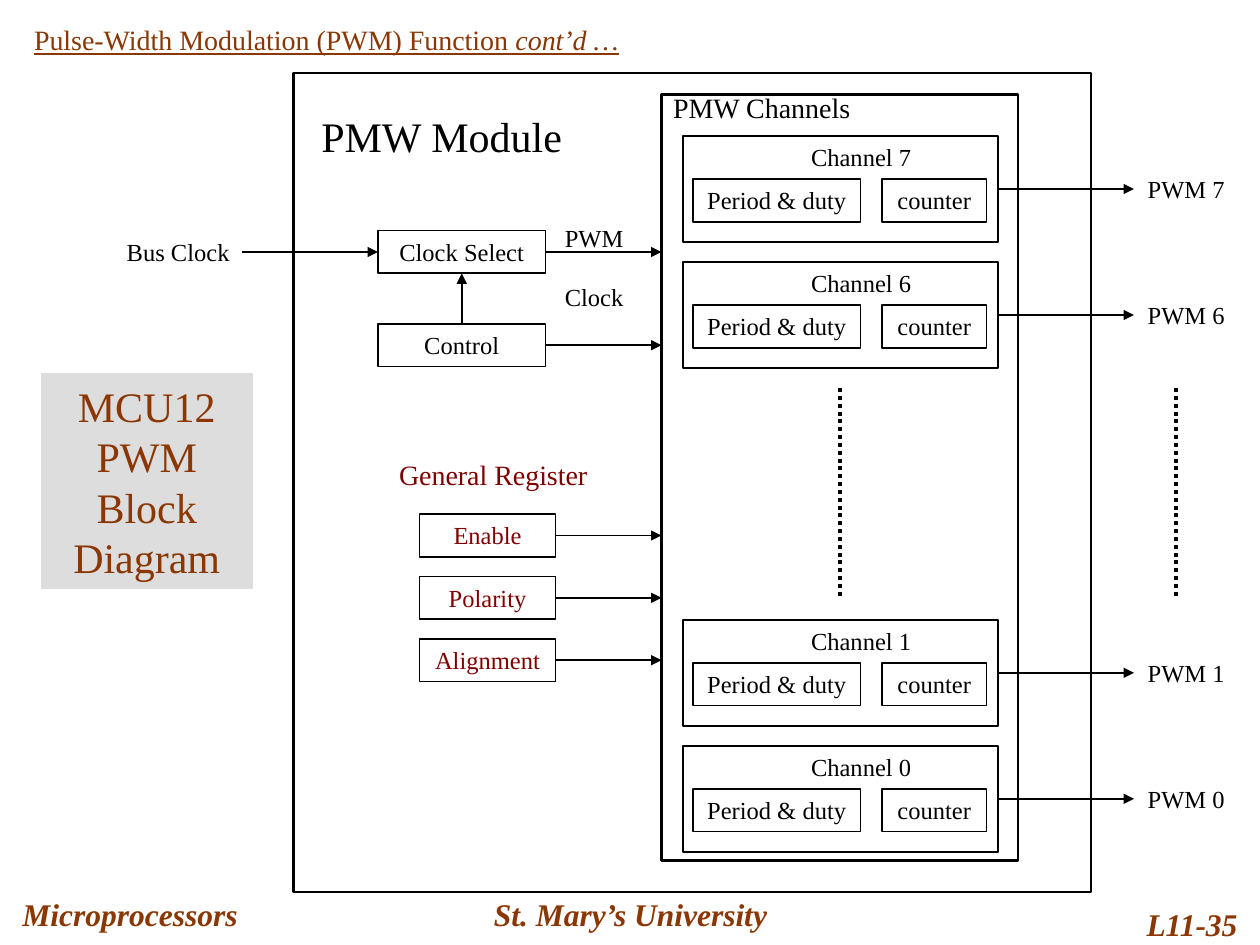
from lxml.etree import SubElement
from pptx import Presentation
from pptx.dml.color import RGBColor
from pptx.enum.dml import MSO_LINE
from pptx.enum.shapes import MSO_CONNECTOR, MSO_SHAPE
from pptx.enum.text import MSO_ANCHOR, MSO_AUTO_SIZE, PP_ALIGN
from pptx.oxml.ns import qn
from pptx.util import Inches, Pt

BLACK = RGBColor(0x00, 0x00, 0x00)
BROWN = RGBColor(0x8A, 0x37, 0x04)
MAROON = RGBColor(0x80, 0x00, 0x00)
GRAY = RGBColor(0xDD, 0xDD, 0xDD)
FACE = "Times New Roman"
RIGHT, LEFT, TOP, BOTTOM = 3, 1, 0, 2


def style(target, **values):
    for key, value in values.items():
        setattr(target, key, value)


def write(shape, lines, size=14, color=BLACK, align=PP_ALIGN.CENTER,
          anchor=MSO_ANCHOR.TOP, gap=0, **font):
    """Fill a shape with paragraphs, each a list of (text, italic) runs or a string."""
    frame = shape.text_frame
    style(frame, word_wrap=True, auto_size=MSO_AUTO_SIZE.NONE,
          vertical_anchor=anchor,
          margin_left=Inches(0.1), margin_right=Inches(0.1),
          margin_top=Inches(0.05), margin_bottom=Inches(0.05))
    for i, line in enumerate(lines):
        para = frame.add_paragraph() if i else frame.paragraphs[0]
        style(para, alignment=align, space_before=Pt(gap if i else 0))
        for text, slant in [(line, None)] if isinstance(line, str) else line:
            run = para.add_run()
            run.text = text
            values = {"name": FACE, "size": Pt(size), "bold": False,
                      "italic": slant, **font}
            style(run.font, **values)
            run.font.color.rgb = color


def label(slide, box, *lines, **look):
    shape = slide.shapes.add_textbox(*map(Inches, box))
    write(shape, lines, **look)
    return shape


def block(slide, box, *lines, line=BLACK, width=1, fill=None, **look):
    shape = slide.shapes.add_shape(MSO_SHAPE.RECTANGLE, *map(Inches, box))
    shape.shadow.inherit = False
    if fill is None:
        shape.fill.background()
    else:
        shape.fill.solid()
        shape.fill.fore_color.rgb = fill
    shape.line.color.rgb = line
    shape.line.width = Pt(width)
    if lines:
        write(shape, lines, **look)
    return shape


def wire(slide, start, end, width=1, dash=None, head=True):
    link = slide.shapes.add_connector(
        MSO_CONNECTOR.STRAIGHT, *map(Inches, start + end))
    link.line.color.rgb = BLACK
    link.line.width = Pt(width)
    if dash:
        link.line.dash_style = dash
    if head:
        SubElement(link.line._get_or_add_ln(), qn("a:tailEnd"), type="triangle")
    SubElement(link._element.spPr, qn("a:effectLst"))
    return link


def heading(slide, box):
    title = slide.shapes.title
    left, top, width, height = map(Inches, box)
    style(title, left=left, top=top, width=width, height=height)
    write(title, [[("Pulse-Width Modulation (PWM) Function ", False),
                   ("cont’d …", True)]],
          size=16, color=BROWN, align=PP_ALIGN.LEFT, underline=True)


def footer(slide, y):
    parts = [("Microprocessors", 0.08, y, 2.42, PP_ALIGN.LEFT),
             ("St. Mary’s University", 3.42, y, 3.17, PP_ALIGN.CENTER),
             ("L11-35", 8.67, y + 0.08, 1.25, PP_ALIGN.RIGHT)]
    for text, x, top, width, align in parts:
        label(slide, (x, top, width, 0.5), text, size=18, color=BROWN,
              align=align, anchor=MSO_ANCHOR.MIDDLE, bold=True, italic=True)


def channel(slide, x, y, number):
    frame = block(slide, (x, y, 2.5, 0.84))
    label(slide, (x + 0.83, y, 1.17, 0.34), f"Channel {number}")
    block(slide, (x + 0.08, y + 0.34, 1.33, 0.34), "Period & duty")
    block(slide, (x + 1.58, y + 0.34, 0.83, 0.34), "counter")
    out = wire(slide, (x + 2.5, y + 0.42), (x + 3.58, y + 0.42))
    out.begin_connect(frame, RIGHT)
    label(slide, (x + 3.41, y + 0.25, 1.17, 0.34), f"PWM {number}")


def channels(slide, x, y):
    block(slide, (x, y, 2.83, 6.08), width=1.5)
    label(slide, (x - 0.08, y - 0.08, 1.75, 0.37), "PMW Channels", size=16)
    for number, drop in ((7, 0.33), (6, 1.33), (1, 4.17), (0, 5.17)):
        channel(slide, x + 0.17, y + drop, number)
    for dx in (1.42, 4.08):
        wire(slide, (x + dx, y + 2.33), (x + dx, y + 4), width=2.25,
             dash=MSO_LINE.ROUND_DOT, head=False)


def clocks(slide, x, y, edge):
    """Clock source and control, with arrows out to the panel edge."""
    select = block(slide, (x, y, 1.33, 0.34), "Clock Select")
    control = block(slide, (x, y + 0.74, 1.33, 0.34), "Control")
    for box, mid in ((select, y + 0.17), (control, y + 0.91)):
        wire(slide, (x + 1.33, mid), (edge, mid)).begin_connect(box, RIGHT)
    rise = wire(slide, (x + 0.67, y + 0.74), (x + 0.67, y + 0.34))
    rise.begin_connect(control, TOP)
    rise.end_connect(select, BOTTOM)
    label(slide, (x + 1.34, y - 0.11, 0.75, 0.8), "PWM", "Clock", gap=17)
    label(slide, (x - 2.17, y, 1.17, 0.34), "Bus Clock")
    bus = wire(slide, (x - 1.08, y + 0.17), (x, y + 0.17), width=1.5)
    bus.end_connect(select, LEFT)


def registers(slide, x, y, edge):
    label(slide, (x, y, 1.83, 0.37), "General Register", size=16, color=MAROON)
    for i, name in enumerate(("Enable", "Polarity", "Alignment")):
        top = y + 0.5 + i * 0.495
        box = block(slide, (x + 0.33, top, 1.08, 0.34), name, color=MAROON)
        link = wire(slide, (x + 1.41, top + 0.17), (edge, top + 0.17))
        link.begin_connect(box, RIGHT)


def module(slide, x, y):
    edge = x + 2.92
    block(slide, (x, y, 6.33, 6.5), width=1.5)
    label(slide, (x + 0.09, y + 0.25, 2.17, 0.5), "PMW Module", size=24)
    channels(slide, edge, y + 0.17)
    clocks(slide, x + 0.67, y + 1.25, edge)
    registers(slide, x + 0.67, y + 3, edge)


def main():
    deck = Presentation()
    deck.slide_width, deck.slide_height = Inches(10), Inches(7.5)
    slide = deck.slides.add_slide(deck.slide_layouts[5])
    heading(slide, (0.17, 0.13, 8.92, 0.37))
    module(slide, 2.33, 0.58)
    block(slide, (0.33, 2.97, 1.67, 1.7), "MCU12 PWM Block Diagram",
          line=GRAY, fill=GRAY, size=24, color=BROWN)
    footer(slide, 7)
    deck.save("out.pptx")


if __name__ == "__main__":
    main()
